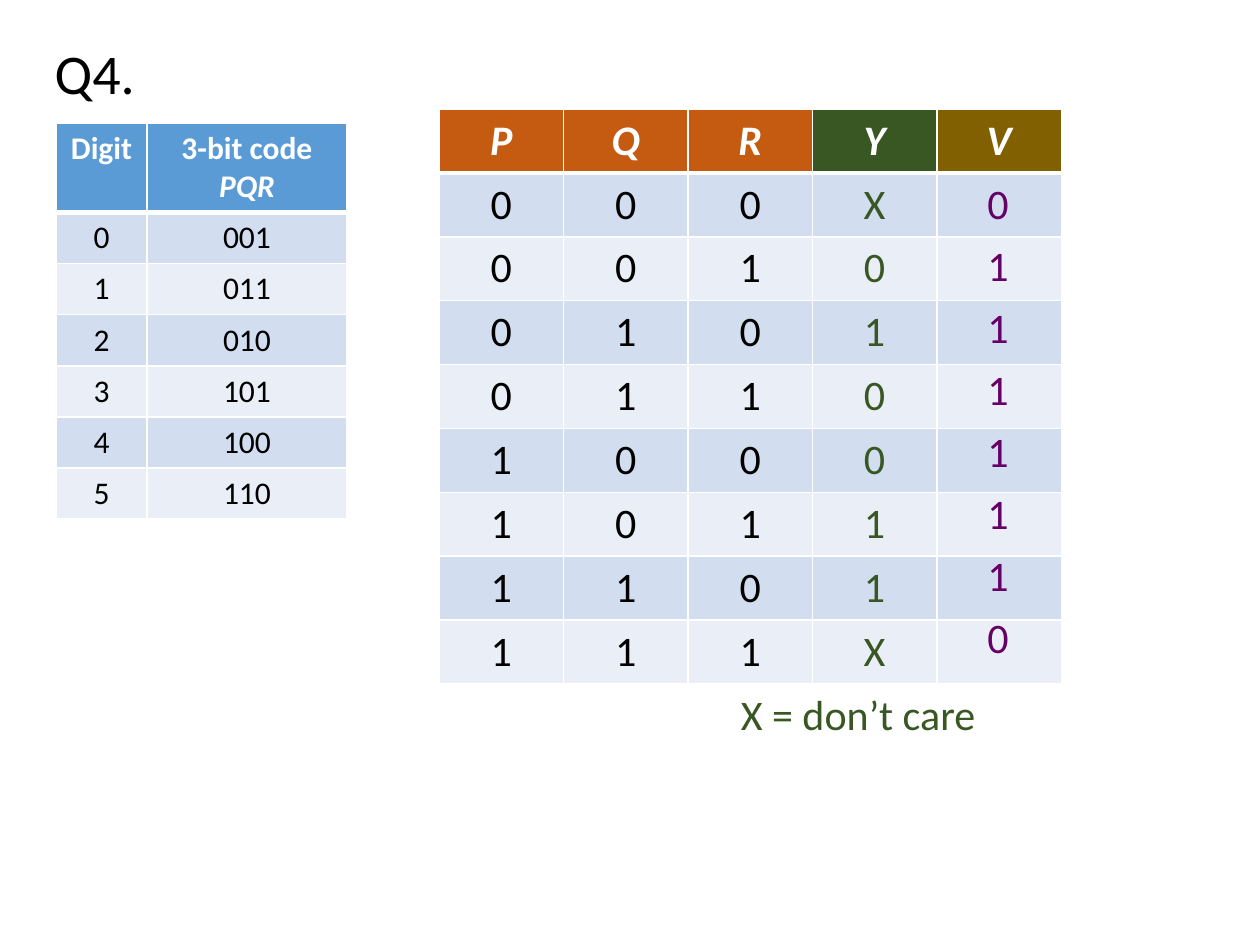
import pptx
import pptx.util
import pptx.dml.color
import pptx.enum.text
import pptx.oxml
import pptx.oxml.ns

RGBColor = pptx.dml.color.RGBColor
PP_ALIGN = pptx.enum.text.PP_ALIGN
MSO_ANCHOR = pptx.enum.text.MSO_ANCHOR
MSO_AUTO_SIZE = pptx.enum.text.MSO_AUTO_SIZE

WHITE = RGBColor(0xFF, 0xFF, 0xFF)
BLACK = RGBColor(0, 0, 0)
BLUE = RGBColor(0x5B, 0x9B, 0xD5)
ORANGE = RGBColor(0xC5, 0x5A, 0x11)
GREEN = RGBColor(0x38, 0x57, 0x23)
OLIVE = RGBColor(0x80, 0x60, 0x00)
PURPLE = RGBColor(0x66, 0x00, 0x66)
BANDS = (RGBColor(0xD2, 0xDE, 0xEF), RGBColor(0xEA, 0xEF, 0xF7))
FONT = "Calibri"

CODES = ["001", "011", "010", "101", "100", "110"]
Y_VALUES = "X010011X"
V_VALUES = "01111110"


def px(pixels):
    return round(pixels * 914400 / 126)


def style(paragraph, size, color, bold=False, align=PP_ALIGN.CENTER):
    paragraph.alignment = align
    font = paragraph.font
    font.name, font.size, font.bold = FONT, pptx.util.Pt(size), bold
    font.color.rgb = color


def add_title(slide, text):
    title = slide.shapes.title
    title.left, title.top, title.width, title.height = px(42), px(31), px(194), px(91)
    frame = title.text_frame
    frame.auto_size = MSO_AUTO_SIZE.NONE
    frame.vertical_anchor = MSO_ANCHOR.MIDDLE
    frame.text = text
    style(frame.paragraphs[0], 32, BLACK, align=PP_ALIGN.LEFT)
    frame.paragraphs[0].line_spacing = 0.9


def add_label(slide, text, left, top, width, color):
    box = slide.shapes.add_textbox(px(left), px(top), px(width), px(63))
    frame = box.text_frame
    frame.word_wrap = True
    frame.auto_size = MSO_AUTO_SIZE.SHAPE_TO_FIT_TEXT
    frame.text = text
    style(frame.paragraphs[0], 24, color)


def set_borders(cell, bottom):
    properties = cell._tc.get_or_add_tcPr()
    for index, (side, points) in enumerate((("L", 1), ("R", 1), ("T", 1), ("B", bottom))):
        border = pptx.oxml.parse_xml(
            f'<a:ln{side} {pptx.oxml.ns.nsdecls("a")} w="{points * 12700}">'
            f'<a:solidFill><a:srgbClr val="{WHITE}"/></a:solidFill></a:ln{side}>'
        )
        properties.insert(index, border)


def add_grid(slide, left, top, widths, heights, rows, size, fills, colors):
    table = slide.shapes.add_table(
        len(rows), len(widths), px(left), px(top), px(sum(widths)), px(sum(heights))
    ).table
    for column, width in zip(table.columns, widths):
        column.width = px(width)
    for r, (values, height) in enumerate(zip(rows, heights)):
        table.rows[r].height = px(height)
        for c, value in enumerate(values):
            cell = table.cell(r, c)
            header = r == 0
            cell.fill.solid()
            cell.fill.fore_color.rgb = fills[c] if header else BANDS[(r - 1) % 2]
            set_borders(cell, 3 if header else 1)
            cell.text = value
            style(cell.text_frame.paragraphs[0], size, WHITE if header else colors[c], header)
    return table


def add_code_table(slide):
    rows = [("Digit", "3-bit code ")] + [(str(i), code) for i, code in enumerate(CODES)]
    table = add_grid(slide, 56, 123, [91, 200], [88] + [51] * len(CODES), rows, 18,
                     [BLUE] * 2, [BLACK] * 2)
    variables = table.cell(0, 1).text_frame.paragraphs[0].add_run()
    variables.text = "PQR"
    variables.font.italic = True


def add_truth_table(slide):
    rows = ["PQRYV"] + [[*f"{i:03b}", y, ""] for i, y in enumerate(Y_VALUES)]
    table = add_grid(slide, 439, 109, [124.5] * 5, [63] * len(rows), rows, 24,
                     [ORANGE] * 3 + [GREEN, OLIVE], [BLACK] * 3 + [GREEN, PURPLE])
    for cell in table.rows[0].cells:
        cell.text_frame.paragraphs[0].font.italic = True


def main():
    deck = pptx.Presentation()
    deck.slide_width, deck.slide_height = px(1260), px(945)
    slide = deck.slides.add_slide(deck.slide_layouts[5])
    add_title(slide, "Q4.")
    add_code_table(slide)
    add_truth_table(slide)
    add_label(slide, "X = don’t care", 717, 682, 282, GREEN)
    for i, value in enumerate(V_VALUES):
        add_label(slide, value, 955, 171 + 62 * i, 86, PURPLE)
    deck.save("out.pptx")


main()
